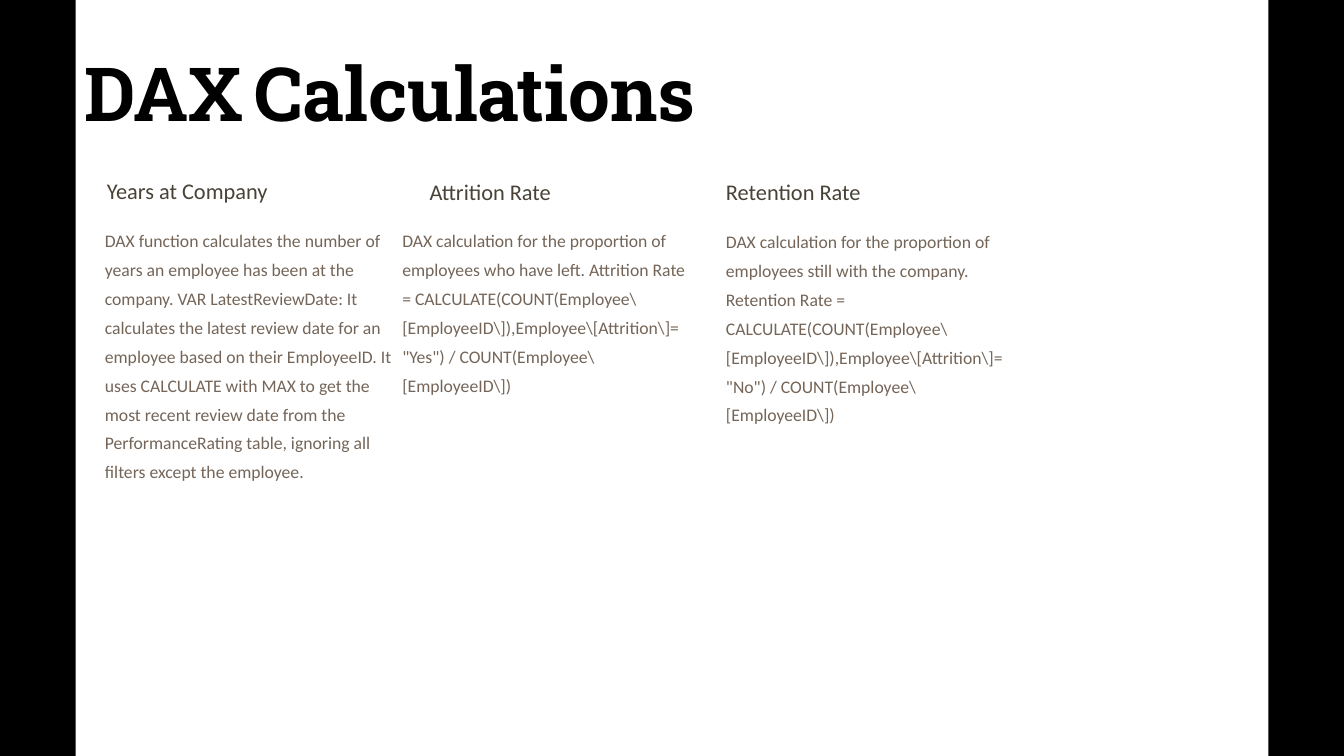
from pptx import Presentation
from pptx.dml.color import RGBColor
from pptx.enum.shapes import MSO_SHAPE
from pptx.util import Inches, Pt

COLORS = {"black": "000000", "white": "FFFFFF", "head": "484237", "body": "746558"}
WIDTH, HEIGHT, BAND = 13.33, 7.5, 0.75

# heading, heading left and top, body left and top, body height, body
COLUMNS = [
    ("Years at Company", 1.06, 1.75, 1.04, 2.2, 2.88,
     "DAX function calculates the number of years an employee has been at the "
     "company. VAR LatestReviewDate: It calculates the latest review date for an "
     "employee based on their EmployeeID. It uses CALCULATE with MAX to get the "
     "most recent review date from the PerformanceRating table, ignoring all "
     "filters except the employee."),
    ("Attrition Rate", 4.26, 1.76, 3.99, 2.2, 2.3,
     "DAX calculation for the proportion of employees who have left. "
     r"Attrition Rate = CALCULATE(COUNT(Employee\[EmployeeID\]),"
     r'Employee\[Attrition\]= "Yes") / COUNT(Employee\[EmployeeID\])'),
    ("Retention Rate", 7.2, 1.76, 7.2, 2.21, 2.3,
     "DAX calculation for the proportion of employees still with the company. "
     r"Retention Rate = CALCULATE(COUNT(Employee\[EmployeeID\]),"
     r'Employee\[Attrition\]= "No") / COUNT(Employee\[EmployeeID\])'),
]


def color(name):
    return RGBColor.from_string(COLORS[name])


def add_band(slide, left):
    band = slide.shapes.add_shape(
        MSO_SHAPE.RECTANGLE, Inches(left), 0, Inches(BAND), Inches(HEIGHT))
    band.shadow.inherit = False
    band.fill.solid()
    band.fill.fore_color.rgb = color("black")
    band.line.fill.background()


def add_text(slide, box, runs, pitch, wrap=False):
    """Add one paragraph of (text, font, size, colour, bold) runs."""
    frame = slide.shapes.add_textbox(*map(Inches, box)).text_frame
    frame.margin_left = frame.margin_right = 0
    frame.margin_top = frame.margin_bottom = 0
    frame.word_wrap = wrap
    para = frame.paragraphs[0]
    para.line_spacing = Pt(pitch)
    for text, face, size, shade, bold in runs:
        run = para.add_run()
        run.text = text
        run.font.name = face
        run.font.size = Pt(size)
        run.font.bold = bold
        run.font.color.rgb = color(shade)


def add_title(slide):
    style = ("Roboto Slab", 53.3, "black", True)
    runs = [("DAX", *style), (" ", "Calibri", 32.3, "head", False),
            ("Calculations", *style)]
    add_text(slide, (0.84, 0.79, 6.5, 0.56), runs, 40.3)


def add_column(slide, head, head_x, head_y, body_x, body_y, body_h, body):
    add_text(slide, (head_x, head_y, 2.25, 0.28),
             [(head, "Calibri", 16, "head", False)], 20)
    add_text(slide, (body_x, body_y, 2.88, body_h),
             [(body, "Calibri", 12.6, "body", False)], 20.7, wrap=True)


def main():
    deck = Presentation()
    deck.slide_width, deck.slide_height = Inches(WIDTH), Inches(HEIGHT)
    slide = deck.slides.add_slide(deck.slide_layouts[6])
    slide.background.fill.solid()
    slide.background.fill.fore_color.rgb = color("white")
    for left in (0, WIDTH - BAND):
        add_band(slide, left)
    add_title(slide)
    for column in COLUMNS:
        add_column(slide, *column)
    deck.save("out.pptx")


if __name__ == "__main__":
    main()
